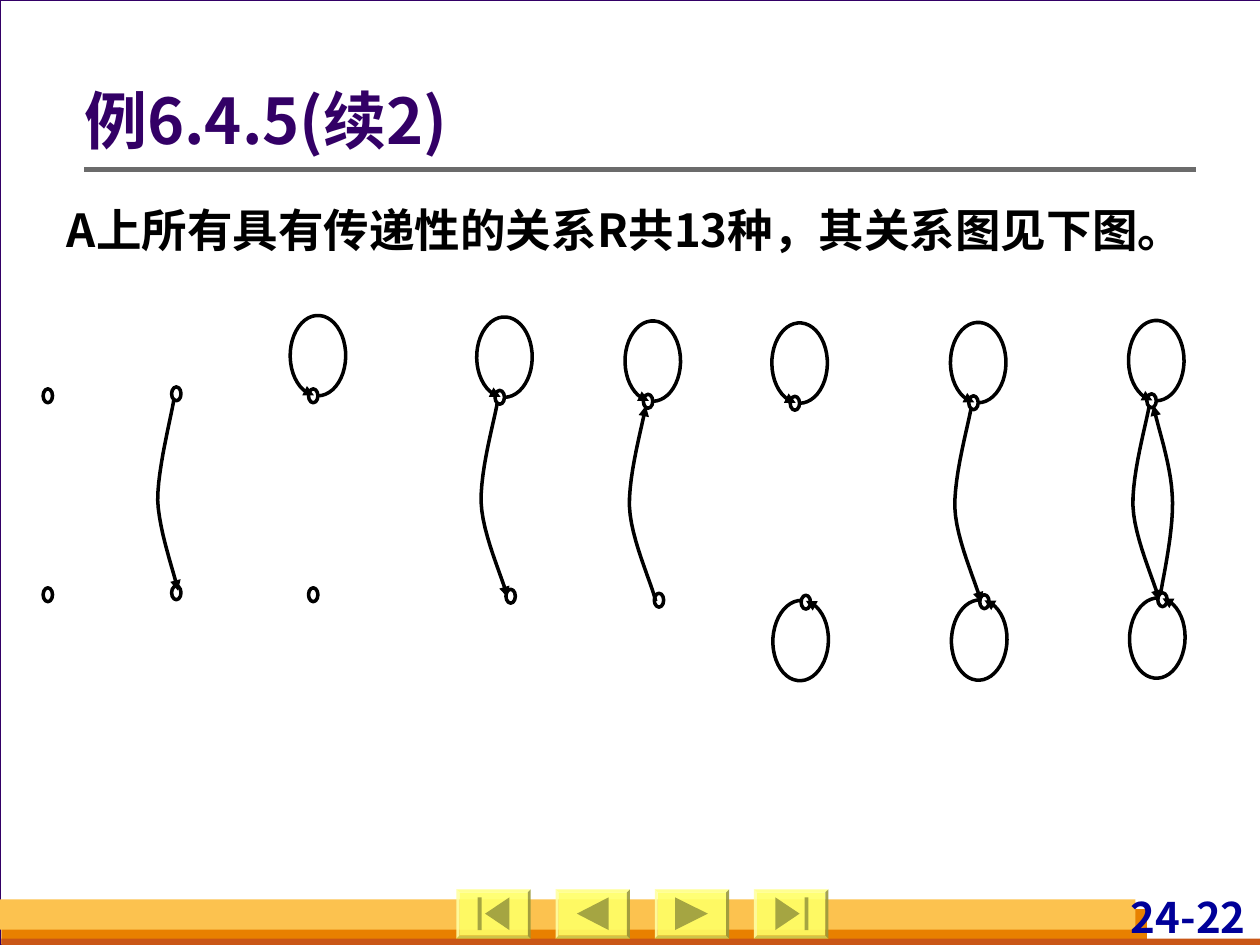
"""Build the slide of relation graphs for transitive relations on a two-element set."""
import math
from dataclasses import dataclass
from typing import NamedTuple

from lxml import etree
from pptx import Presentation
from pptx import util as u
from pptx.dml.color import RGBColor
from pptx.enum import shapes, text
from pptx.oxml import ns
from pptx.shapes.base import BaseShape
from pptx.shapes.shapetree import GroupShapes, SlideShapes


@dataclass(frozen=True)
class Theme:
    font: str = "Noto Sans CJK SC"
    backdrop: str = "D8DADA"
    paper: str = "FFFFFF"
    purple: str = "330066"
    ink: str = "000000"
    navy: str = "000099"
    rule: str = "6B6B6B"
    orange: str = "E88000"
    rust: str = "C95616"
    amber: str = "FCC24F"
    button: str = "FFFF66"
    icon: str = "A5A542"
    title_size: int = 36
    body_size: int = 26
    page_size: int = 24


class Point(NamedTuple):
    x: float
    y: float


class Area(NamedTuple):
    left: float
    top: float
    width: float
    height: float

    def lengths(self) -> list[u.Cm]:
        return [u.Cm(value) for value in self]


class Label(NamedTuple):
    words: str
    area: Area
    size: int
    color: str
    align: text.PP_ALIGN
    anchor: text.MSO_ANCHOR
    spacing: float
    insets: tuple[float, float, float, float]


class Button(NamedTuple):
    tip: float
    base: float
    bar: float | None = None


class Relation(NamedTuple):
    x: float
    y: float
    lean: float = 0.22
    top_loop: bool = False
    bottom_loop: bool = False
    edges: tuple[tuple[Point, ...], ...] = ()


THEME = Theme()
NODE = Point(0.19, 0.28)
NODE_DROP = 4.01
LOOP_RADIUS = Point(0.56, 0.81)
LOOP_SWEEP = 352
DOWN = tuple(Point(*pair) for pair in (
    (0.05, 0.23), (0, 0.56), (-0.3, 1.6), (-0.28, 2.26), (-0.25, 2.92), (0.15, 3.76), (0.25, 4.17)))
PLUMB = tuple(Point(*pair) for pair in (
    (0.05, 0.23), (0, 0.58), (-0.28, 1.63), (-0.28, 2.29), (-0.25, 2.92), (0.05, 3.73), (0.13, 4.11)))
BACK = tuple(Point(*pair) for pair in (
    (0.28, 4.01), (0.33, 3.68), (0.56, 2.67), (0.51, 2.03), (0.48, 1.4), (0.2, 0.61), (0.13, 0.23)))
UP = DOWN[::-1]
RELATIONS = (
    Relation(0.87, 7.84, lean=0),
    Relation(3.46, 7.8, lean=0, edges=(PLUMB,)),
    Relation(6.22, 7.84, lean=0, top_loop=True),
    Relation(9.98, 7.87, top_loop=True, edges=(DOWN,)),
    Relation(12.97, 7.95, top_loop=True, edges=(UP,)),
    Relation(15.93, 7.99, top_loop=True, bottom_loop=True),
    Relation(19.53, 7.98, top_loop=True, bottom_loop=True, edges=(DOWN,)),
    Relation(23.12, 7.94, top_loop=True, bottom_loop=True, edges=(DOWN, BACK)),
)
BANDS = (
    (Area(0.03, 18.33, 23.09, 0.71), THEME.orange),
    (Area(0.03, 18.92, 25.4, 0.13), THEME.rust),
    (Area(0, 18.13, 22.89, 0.61), THEME.amber),
)
BUTTONS = (Button(0.58, 1.07, 0.43), Button(0.43, 1.07), Button(1.07, 0.41), Button(0.92, 0.43, 1.02))
BUTTON_AREA = Area(9.2, 17.93, 1.5, 0.99)
BUTTON_PITCH = 2
LABELS = (
    Label("24-22", Area(21.53, 17.97, 3.68, 1.02), THEME.page_size, THEME.navy,
          text.PP_ALIGN.RIGHT, text.MSO_ANCHOR.MIDDLE, 1, (0.1, 0, 0.1, 0)),
    Label("例6.4.5(续2)", Area(1.7, 1.68, 22.4, 1.63), THEME.title_size, THEME.purple,
          text.PP_ALIGN.LEFT, text.MSO_ANCHOR.MIDDLE, 0.9, (0, 0.13, 0.25, 0.13)),
    Label("A上所有具有传递性的关系R共13种，其关系图见下图。", Area(1.1, 3.73, 23.7, 1.57),
          THEME.body_size, THEME.ink, text.PP_ALIGN.JUSTIFY, text.MSO_ANCHOR.TOP, 1.2,
          (0.25, 0.13, 0.25, 0.13)),
)


def paint(shape: BaseShape, fill: str | None = None, line: str | None = None, weight: float = 2) -> None:
    """Set the fill and outline of a shape and drop its shadow."""
    shape.shadow.inherit = False
    if fill:
        shape.fill.solid()
        shape.fill.fore_color.rgb = RGBColor.from_string(fill)
    else:
        shape.fill.background()
    if line:
        shape.line.color.rgb = RGBColor.from_string(line)
        shape.line.width = u.Pt(weight)
    else:
        shape.line.fill.background()


def trace(parent: SlideShapes | GroupShapes, points: list[Point], closed: bool = False) -> BaseShape:
    """Join points into a freeform."""
    corners = [(u.Cm(x), u.Cm(y)) for x, y in points]
    builder = parent.build_freeform(*corners[0])
    builder.add_line_segments(corners[1:], close=closed)
    return builder.convert_to_shape()


def draw_arrow(parent: GroupShapes, points: list[Point]) -> BaseShape:
    """Draw an open path that ends in an arrowhead."""
    arrow = trace(parent, points)
    paint(arrow, line=THEME.ink)
    etree.SubElement(arrow.line._get_or_add_ln(), ns.qn("a:tailEnd"), type="triangle")
    return arrow


def curve(controls: tuple[Point, ...], steps: int = 12) -> list[Point]:
    """Sample a chain of cubic curves."""
    points = [controls[0]]
    for first in range(0, len(controls) - 1, 3):
        part = controls[first:first + 4]
        for step in range(1, steps + 1):
            t = step / steps
            weights = [math.comb(3, k) * t**k * (1 - t)**(3 - k) for k in range(4)]
            points.append(Point(sum(w * p.x for w, p in zip(weights, part)),
                                sum(w * p.y for w, p in zip(weights, part))))
    return points


def draw_loop(parent: GroupShapes, center: Point, rotation: float) -> None:
    """Draw a self-loop that starts and ends at the foot of an ellipse."""
    angles = [math.radians(degree) for degree in range(0, LOOP_SWEEP + 1, 8)]
    loop = draw_arrow(parent, [Point(center.x + LOOP_RADIUS.x * math.sin(angle),
                                     center.y + LOOP_RADIUS.y * math.cos(angle)) for angle in angles])
    loop.rotation = rotation


def draw_relation(parent: SlideShapes, relation: Relation) -> None:
    """Draw the two nodes of a relation with its loops and edges."""
    group = parent.add_group_shape().shapes
    x, y = relation.x, relation.y
    for left, top in ((x, y), (x + relation.lean, y + NODE_DROP)):
        node = group.add_shape(shapes.MSO_SHAPE.OVAL, *Area(left, top, *NODE).lengths())
        paint(node, line=THEME.ink)
    if relation.top_loop:
        draw_loop(group, Point(x + 0.19, y - 0.67), 0)
    if relation.bottom_loop:
        draw_loop(group, Point(x + relation.lean - 0.01, y + NODE_DROP + 0.91), 182)
    for edge in relation.edges:
        draw_arrow(group, [Point(x + point.x, y + point.y) for point in curve(edge)])


def draw_rectangle(parent: SlideShapes, area: Area, fill: str, line: str | None = None) -> None:
    """Draw a plain rectangle."""
    paint(parent.add_shape(shapes.MSO_SHAPE.RECTANGLE, *area.lengths()), fill, line, 0.75)


def draw_button(parent: SlideShapes, button: Button, area: Area) -> None:
    """Draw a bevelled navigation button with its icon."""
    face = parent.add_shape(shapes.MSO_SHAPE.BEVEL, *area.lengths())
    face.adjustments[0] = 0.06
    paint(face, THEME.button)
    color = face.fill._xPr.find(".//" + ns.qn("a:srgbClr"))
    etree.SubElement(color, ns.qn("a:alpha"), val="90000")
    left, top = area.left, area.top
    icon = trace(parent, [Point(left + button.tip, top + 0.49), Point(left + button.base, top + 0.16),
                          Point(left + button.base, top + 0.82)], closed=True)
    paint(icon, THEME.icon)
    if button.bar is not None:
        draw_rectangle(parent, Area(left + button.bar, top + 0.16, 0.08, 0.66), THEME.icon)


def draw_label(parent: SlideShapes, label: Label) -> None:
    """Write a bold paragraph in a box, keeping punctuation inside its margins."""
    box = parent.add_textbox(*label.area.lengths())
    frame = box.text_frame
    frame.word_wrap = True
    frame.vertical_anchor = label.anchor
    frame.margin_left, frame.margin_top, frame.margin_right, frame.margin_bottom = map(u.Cm, label.insets)
    para = frame.paragraphs[0]
    para.alignment = label.align
    para.line_spacing = label.spacing
    para._p.get_or_add_pPr().set("hangingPunct", "0")
    span = para.add_run()
    span.text = label.words
    span.font.size = u.Pt(label.size)
    span.font.bold = True
    span.font.name = THEME.font
    span.font.color.rgb = RGBColor.from_string(label.color)
    etree.SubElement(span.font._element, ns.qn("a:ea"), typeface=THEME.font)


def main() -> None:
    """Assemble and save the deck."""
    deck = Presentation()
    deck.slide_width, deck.slide_height = u.Cm(25.4), u.Cm(19.05)
    page = deck.slides.add_slide(deck.slide_layouts[6])
    page.background.fill.solid()
    page.background.fill.fore_color.rgb = RGBColor.from_string(THEME.backdrop)
    draw_rectangle(page.shapes, Area(0, 0, 25.43, 19.05), THEME.paper, THEME.purple)
    for area, color in BANDS:
        draw_rectangle(page.shapes, area, color)
    rule = page.shapes.add_connector(shapes.MSO_CONNECTOR.STRAIGHT, u.Cm(1.7), u.Cm(3.42), u.Cm(24.1), u.Cm(3.42))
    rule.line.color.rgb = RGBColor.from_string(THEME.rule)
    rule.line.width = u.Pt(3)
    etree.SubElement(rule._element.spPr, ns.qn("a:effectLst"))
    for index, button in enumerate(BUTTONS):
        draw_button(page.shapes, button, BUTTON_AREA._replace(left=BUTTON_AREA.left + index * BUTTON_PITCH))
    for label in LABELS:
        draw_label(page.shapes, label)
    for relation in RELATIONS:
        draw_relation(page.shapes, relation)
    deck.save("out.pptx")


if __name__ == "__main__":
    main()
